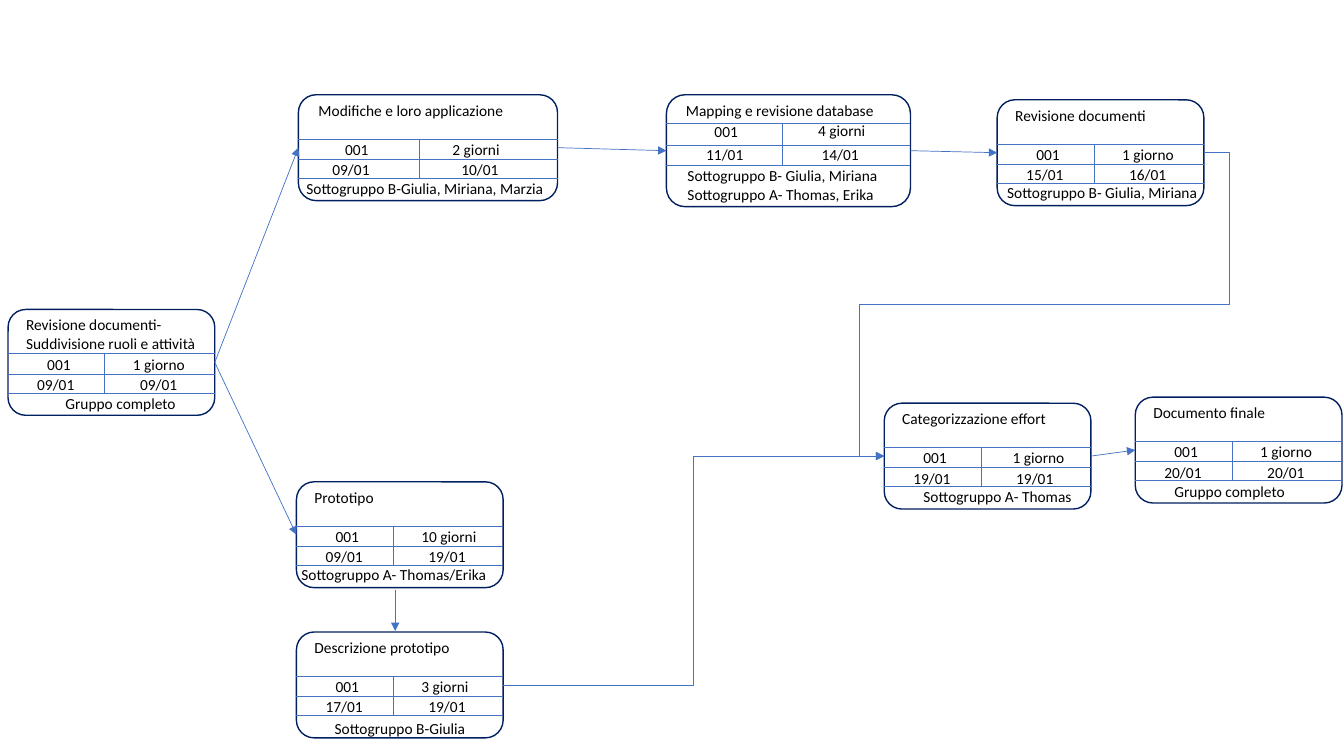
from pptx import Presentation
from pptx.dml.color import RGBColor
from pptx.enum.shapes import MSO_CONNECTOR, MSO_SHAPE
from pptx.enum.text import MSO_AUTO_SIZE
from pptx.oxml.ns import qn
from pptx.util import Emu, Pt
from lxml import etree

STRAIGHT, ELBOW = MSO_CONNECTOR.STRAIGHT, MSO_CONNECTOR.ELBOW
ROUNDED = MSO_SHAPE.ROUNDED_RECTANGLE
GROW = MSO_AUTO_SIZE.SHAPE_TO_FIT_TEXT

# Content: title, code, duration, start, end, owners
# box: left, top, width, height; owner: offset x, offset y, width
CARDS = {
    "roles": dict(box=(8, 307, 205, 105), layout="standard", title_width=190,
                  title=["Revisione documenti-", "Suddivisione ruoli e attività"],
                  cells=["001", "1 giorno", "09/01", "09/01"],
                  owner=(47, 79, 130), owners=["Gruppo completo"]),
    "prototype": dict(box=(294, 478, 205, 105), layout="standard", title_width=79,
                      title=["Prototipo"],
                      cells=["001", "10 giorni", "09/01", "19/01"],
                      owner=(-5, 78, 205), owners=["Sottogruppo A- Thomas/Erika"]),
    "changes": dict(box=(296, 94, 257, 105), layout="standard", title_width=257,
                    title=["Modifiche e loro applicazione"],
                    cells=["001", "2 giorni", "09/01", "10/01"],
                    owner=(-2, 79, 257), owners=["Sottogruppo B-Giulia, Miriana, Marzia"]),
    "mapping": dict(box=(661, 94, 242, 111), layout="compact", title_width=213,
                    title=["Mapping e revisione database"],
                    cells=["001", "4 giorni", "11/01", "14/01"],
                    owner=(11, 66, 215),
                    owners=["Sottogruppo B- Giulia, Miriana", "Sottogruppo A- Thomas, Erika"]),
    "description": dict(box=(294, 627, 205, 105), layout="standard", title_width=155,
                        title=["Descrizione prototipo"],
                        cells=["001", "3 giorni", "17/01", "19/01"],
                        owner=(28, 81, 151), owners=["Sottogruppo B-Giulia"]),
    "review": dict(box=(989, 99, 205, 105), layout="standard", title_width=151,
                   title=["Revisione documenti"],
                   cells=["001", "1 giorno", "15/01", "16/01"],
                   owner=(0, 78, 210), owners=["Sottogruppo B- Giulia, Miriana"]),
    "effort": dict(box=(877, 400, 205, 105), layout="standard", title_width=165,
                   title=["Categorizzazione effort"],
                   cells=["001", " 1 giorno", "19/01", "19/01"],
                   owner=(29, 78, 168), owners=["Sottogruppo A- Thomas"]),
    "final": dict(box=(1126, 394, 205, 105), layout="standard", title_width=132,
                  title=["Documento finale"],
                  cells=["001", "1 giorno", "20/01", "20/01"],
                  owner=(29, 79, 130), owners=["Gruppo completo"]),
}

# Offsets inside a card; x positions and widths belong to a card BASE_WIDTH wide
BASE_WIDTH = 205
LAYOUTS = {
    "standard": dict(rules=(44, 64, 83), divider=96,
                     cells=[(29, 40, 44), (114, 40, 75), (19, 60, 58), (121, 60, 58)]),
    "compact": dict(rules=(28, 50, 70), divider=97,
                    cells=[(32, 22, 44), (119, 21, 57), (25, 45, 58), (122, 45, 58)]),
}

# Arrows from the right side of one card to the left side of the next
ARROWS = [
    ("roles", "prototype", STRAIGHT),
    ("roles", "changes", STRAIGHT),
    ("changes", "mapping", STRAIGHT),
    ("mapping", "review", STRAIGHT),
    ("effort", "final", STRAIGHT),
    ("review", "effort", ELBOW),
    ("description", "effort", ELBOW),
]
DOWN_ARROW = (392, 585, 392, 626)
LEFT_SITE, RIGHT_SITE = 1, 3
BACKWARD_BENDS = (-7900, 50000, 107900)

COLORS = {"card": "FFFFFF", "border": "002060", "line": "4472C4", "text": "000000"}
FONT = "Calibri"
LINE_HEIGHT, TEXT_PADDING = 18, 11


def px(value):
    return Emu(round(value * 9144))


def color(name):
    return RGBColor.from_string(COLORS[name])


def add_line(shapes, x1, y1, x2, y2, kind=STRAIGHT, arrow=False):
    line = shapes.add_connector(kind, px(x1), px(y1), px(x2), px(y2))
    line.line.color.rgb = color("line")
    line.line.width = Pt(0.5)
    properties = line.element.spPr
    if arrow:
        etree.SubElement(properties.find(qn("a:ln")), qn("a:tailEnd"), type="triangle")
    etree.SubElement(properties, qn("a:effectLst"))
    return line


def add_text(shapes, x, y, width, lines):
    height = LINE_HEIGHT * len(lines) + TEXT_PADDING
    box = shapes.add_textbox(px(x), px(y), px(width), px(height))
    frame = box.text_frame
    frame.word_wrap = True
    frame.auto_size = GROW
    frame.margin_right = 0
    for index, line in enumerate(lines):
        para = frame.paragraphs[0] if index == 0 else frame.add_paragraph()
        span = para.add_run()
        span.text = line
        span.font.name = FONT
        span.font.size = Pt(11)
        span.font.color.rgb = color("text")


def add_card(page, card):
    left, top, width, height = card["box"]
    layout = LAYOUTS[card["layout"]]
    stretch = width / BASE_WIDTH
    shapes = page.shapes.add_group_shape().shapes

    # Outline and ruled grid
    outline = shapes.add_shape(ROUNDED, px(left), px(top), px(width), px(height))
    outline.shadow.inherit = False
    outline.fill.solid()
    outline.fill.fore_color.rgb = color("card")
    outline.line.color.rgb = color("border")
    outline.line.width = Pt(1)
    rules = [top + offset for offset in layout["rules"]]
    for y in rules:
        add_line(shapes, left, y, left + width, y)
    divider = left + layout["divider"] * stretch
    add_line(shapes, divider, rules[0], divider, rules[-1])

    # Title, cells and owners
    add_text(shapes, left + 8 * stretch, top + 1, card["title_width"], card["title"])
    for (x, y, cell_width), text in zip(layout["cells"], card["cells"]):
        add_text(shapes, left + x * stretch, top + y, cell_width * stretch, [text])
    x, y, owner_width = card["owner"]
    add_text(shapes, left + x, top + y, owner_width, card["owners"])
    return outline


def bend_backward(arrow):
    geometry = arrow.element.spPr.find(qn("a:prstGeom"))
    geometry.set("prst", "bentConnector5")
    guides = geometry.find(qn("a:avLst"))
    for number, value in enumerate(BACKWARD_BENDS, 1):
        etree.SubElement(guides, qn("a:gd"), name=f"adj{number}", fmla=f"val {value}")


def main():
    deck = Presentation()
    deck.slide_width, deck.slide_height = px(1333), px(750)
    page = deck.slides.add_slide(deck.slide_layouts[6])

    outlines = {name: add_card(page, card) for name, card in CARDS.items()}

    # Flow between cards
    for source, target, kind in ARROWS:
        x1, y1, width, height = CARDS[source]["box"]
        x2, y2, _, target_height = CARDS[target]["box"]
        arrow = add_line(page.shapes, x1 + width, y1 + height / 2,
                         x2, y2 + target_height / 2, kind, arrow=True)
        arrow.begin_connect(outlines[source], RIGHT_SITE)
        arrow.end_connect(outlines[target], LEFT_SITE)
        if x2 < x1 + width:
            bend_backward(arrow)
    add_line(page.shapes, *DOWN_ARROW, arrow=True)

    deck.save("out.pptx")


if __name__ == "__main__":
    main()
